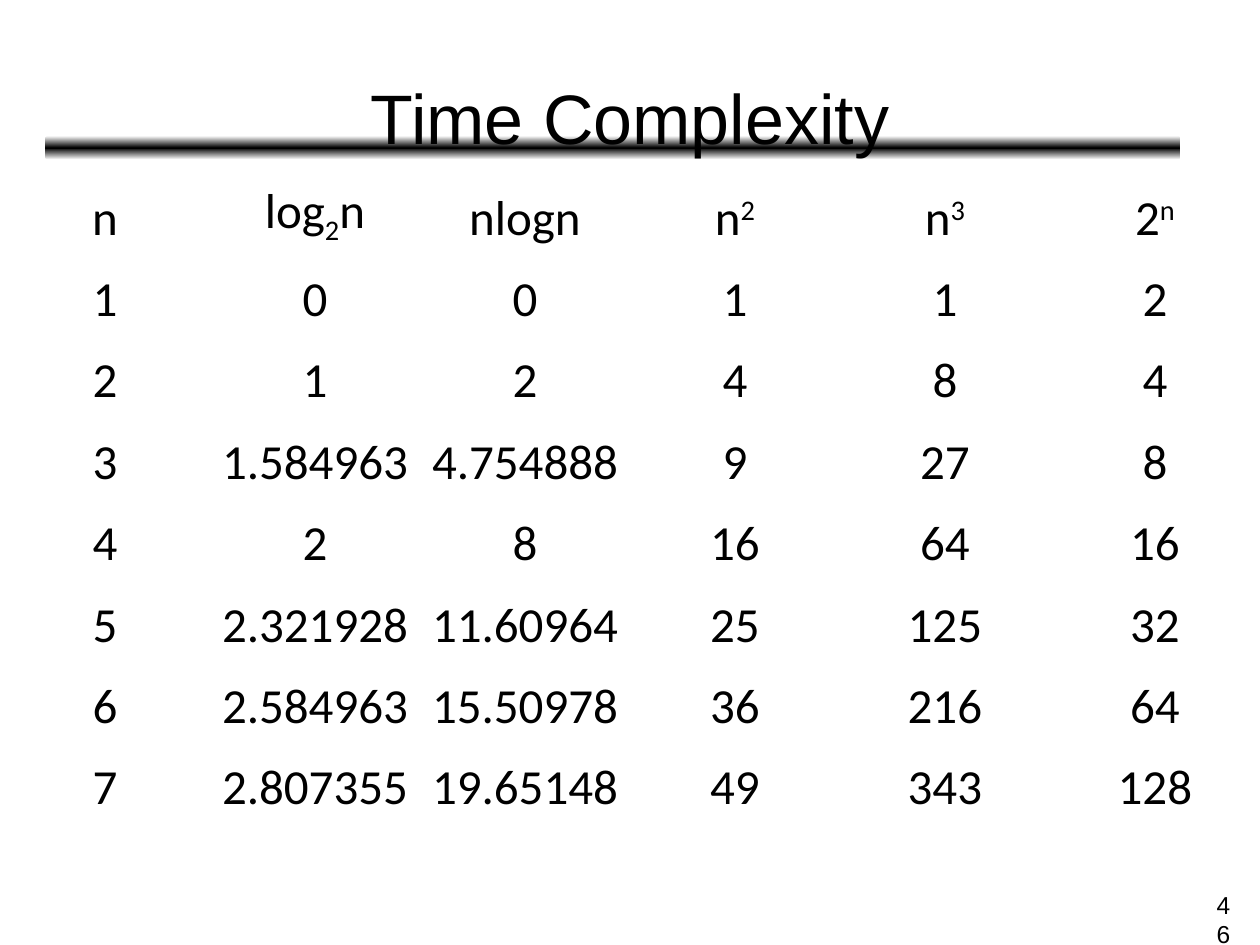
from copy import deepcopy

from pptx import Presentation
from pptx.dml.color import RGBColor
from pptx.enum.shapes import MSO_SHAPE
from pptx.enum.text import MSO_ANCHOR, PP_ALIGN
from pptx.oxml.ns import qn
from pptx.util import Cm, Pt

ROUNDED = MSO_SHAPE.ROUNDED_RECTANGLE
MIDDLE, BOTTOM, TOP = MSO_ANCHOR.MIDDLE, MSO_ANCHOR.BOTTOM, MSO_ANCHOR.TOP
CENTER, RIGHT = PP_ALIGN.CENTER, PP_ALIGN.RIGHT

BLACK, WHITE = "000000", "FFFFFF"
SUBSCRIPT, SUPERSCRIPT = "-25000", "30000"
NO_STYLE_NO_GRID = "{2D5ABB26-0587-4C30-8999-92F81FD0307C}"

TITLE = "Time Complexity"
PAGE_NUMBER = "46"
HEADER = [
    [("n", None)],
    [("log", None), ("2", SUBSCRIPT), ("n", None)],
    [("nlogn", None)],
    [("n", None), ("2", SUPERSCRIPT)],
    [("n", None), ("3", SUPERSCRIPT)],
    [("2", None), ("n", SUPERSCRIPT)],
]
VALUES = [
    ("1", "0", "0", "1", "1", "2"),
    ("2", "1", "2", "4", "8", "4"),
    ("3", "1.584963", "4.754888", "9", "27", "8"),
    ("4", "2", "8", "16", "64", "16"),
    ("5", "2.321928", "11.60964", "25", "125", "32"),
    ("6", "2.584963", "15.50978", "36", "216", "64"),
    ("7", "2.807355", "19.65148", "49", "343", "128"),
]
SLIDE_WIDTH, SLIDE_HEIGHT = Cm(25.4), Cm(19.05)
HEADER_HEIGHT, ROW_HEIGHT = Cm(2.05), Cm(1.64)


def color(value):
    return RGBColor.from_string(value)


def style(paragraph, font_name, size, alignment):
    paragraph.alignment = alignment
    paragraph.font.name = font_name
    paragraph.font.size = Pt(size)
    paragraph.font.color.rgb = color(BLACK)


def add_bar(slide):
    bar = slide.shapes.add_shape(ROUNDED, Cm(0.91), Cm(2.74), Cm(22.89), Cm(0.48))
    bar.shadow.inherit = False
    bar.line.fill.background()
    bar.fill.gradient()
    bar.fill.gradient_angle = 90
    stop_list = bar._element.spPr.find(qn("a:gradFill")).find(qn("a:gsLst"))
    stop_list.insert(1, deepcopy(stop_list[0]))
    stops = zip(bar.fill.gradient_stops, (0, 0.5, 1), (WHITE, BLACK, WHITE))
    for stop, position, value in stops:
        stop.position = position
        stop.color.rgb = color(value)


def add_text(slide, text, box, size, alignment, anchor):
    frame = slide.shapes.add_textbox(*map(Cm, box)).text_frame
    frame.word_wrap = True
    frame.vertical_anchor = anchor
    frame.text = text
    style(frame.paragraphs[0], "Arial", size, alignment)


def fill_cell(cell, runs):
    cell.fill.background()
    cell.vertical_anchor = BOTTOM
    cell.margin_left = cell.margin_right = cell.margin_top = cell.margin_bottom = 0
    paragraph = cell.text_frame.paragraphs[0]
    style(paragraph, "Calibri", 28, CENTER)
    for text, baseline in runs:
        run = paragraph.add_run()
        run.text = text
        if baseline:
            run.font._element.set("baseline", baseline)


def add_complexity_table(slide):
    rows = [HEADER] + [[[(value, None)] for value in row] for row in VALUES]
    height = HEADER_HEIGHT + ROW_HEIGHT * len(VALUES)
    table = slide.shapes.add_table(
        len(rows), len(HEADER), 0, Cm(2.96), SLIDE_WIDTH, height
    ).table
    table.first_row = table.horz_banding = False
    table._tbl.tblPr.find(qn("a:tableStyleId")).text = NO_STYLE_NO_GRID
    for index, row in enumerate(rows):
        table.rows[index].height = ROW_HEIGHT if index else HEADER_HEIGHT
        for cell, runs in zip(table.rows[index].cells, row):
            fill_cell(cell, runs)


def main():
    presentation = Presentation()
    presentation.slide_width = SLIDE_WIDTH
    presentation.slide_height = SLIDE_HEIGHT
    slide = presentation.slides.add_slide(presentation.slide_layouts[6])
    add_bar(slide)
    add_text(slide, TITLE, (1.27, 0.76, 22.86, 3.18), 40, CENTER, MIDDLE)
    add_text(slide, PAGE_NUMBER, (24.03, 17.81, 1.02, 1.02), 14, RIGHT, TOP)
    add_complexity_table(slide)
    presentation.save("out.pptx")


if __name__ == "__main__":
    main()
